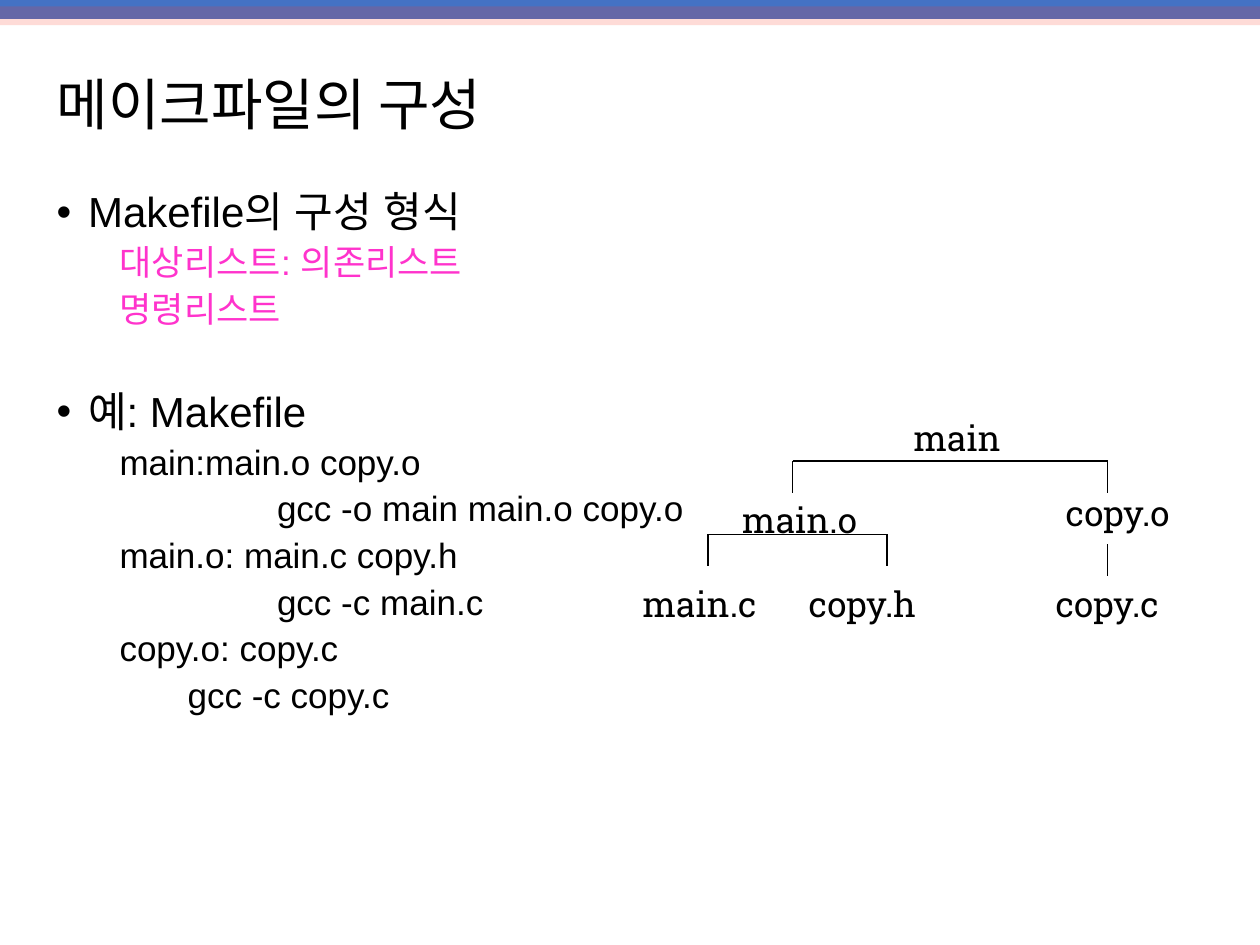
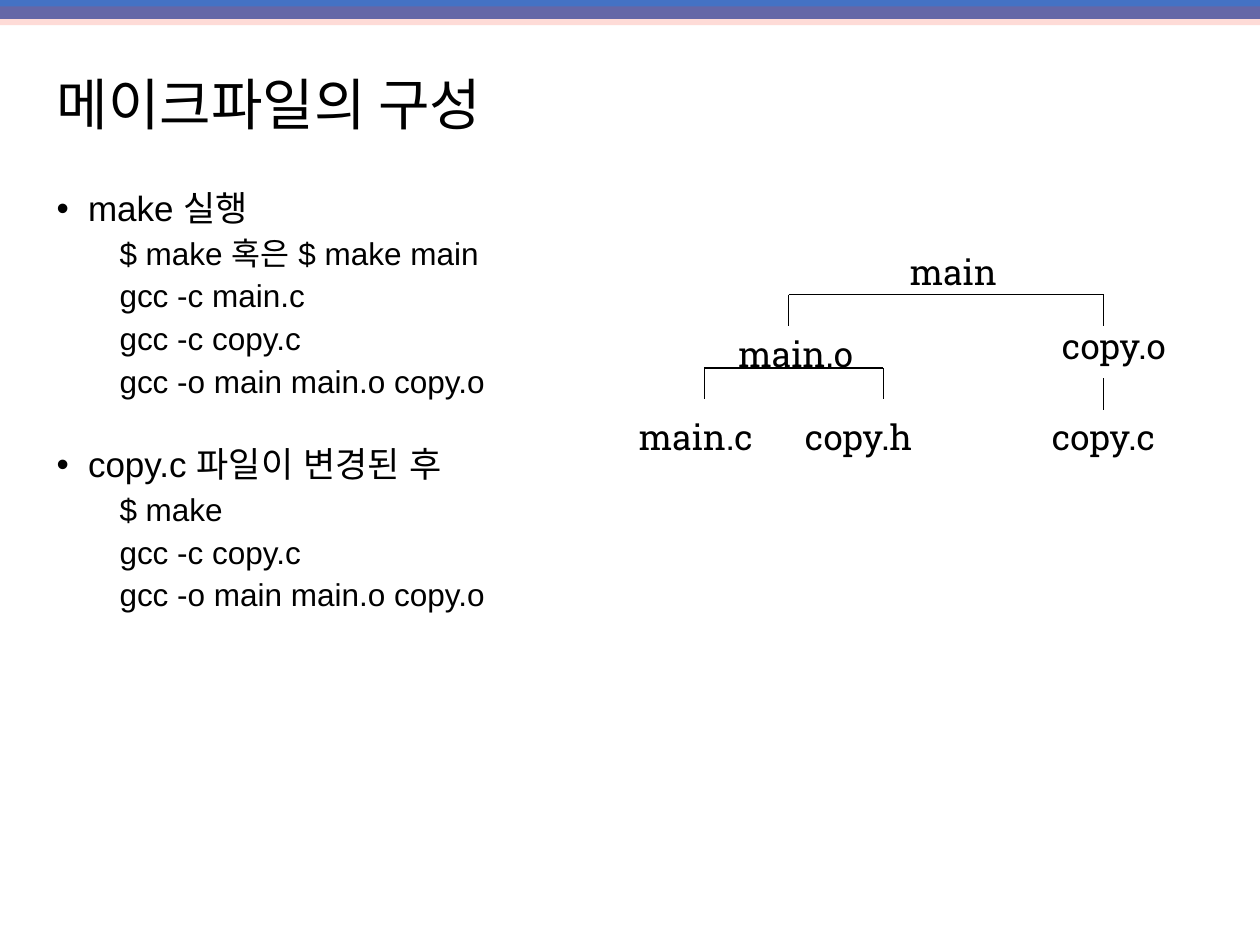
from lxml import etree
from pptx import Presentation
from pptx.dml.color import RGBColor
from pptx.enum.shapes import MSO_CONNECTOR, MSO_SHAPE
from pptx.enum.text import MSO_ANCHOR
from pptx.oxml.ns import qn
from pptx.util import Inches, Pt

RECTANGLE = MSO_SHAPE.RECTANGLE
STRAIGHT = MSO_CONNECTOR.STRAIGHT
TOP, MIDDLE = MSO_ANCHOR.TOP, MSO_ANCHOR.MIDDLE

# The slide is a grid of 100 columns by 75 rows.
COLUMNS, ROWS = 100, 75
CELL = Inches(0.1)
MARGIN, CONTENT_WIDTH = 3.5, 92.1

COLORS = {"text": "000000", "syntax": "FF33CC", "band": "4472C4", "veil": "FB3925"}
TITLE_FONT, BODY_FONT, TREE_FONT = "Noto Sans CJK KR", "Arial", "Roboto Slab"
TITLE = "메이크파일의 구성"

# Left edge of each kind of line, in columns; topics have a hanging bullet.
INDENTS = {"topic": 2.5, "line": 5, "command": 17.5, "last command": 10.4}

# Column and row of each file, from the corner of the tree.
TREE_FILES = {
    "main": (22.8, 0),
    "main.o": (9.2, 6.5),
    "copy.o": (34.9, 5.9),
    "main.c": (1.3, 13.1),
    "copy.h": (14.5, 13.1),
    "copy.c": (34.1, 13.1),
}
# Row of each branch and the columns of its drops.
TREE_BRANCHES = [(4, (14.2, 39.2)), (9.8, (7.5, 21.7)), (10.6, (39.2,))]
DROP = 2.5

FORMAT_TOPICS = [
    ("Makefile의 구성 형식", [
        ("line", "대상리스트: 의존리스트", "syntax"),
        ("line", "명령리스트", "syntax"),
    ]),
    ("예: Makefile", [
        ("line", "main:main.o copy.o", "text"),
        ("command", "gcc -o main main.o copy.o", "text"),
        ("line", "main.o: main.c copy.h", "text"),
        ("command", "gcc -c main.c", "text"),
        ("line", "copy.o: copy.c", "text"),
        ("last command", "gcc -c copy.c", "text"),
    ]),
]
RUN_TOPICS = [
    (topic, [("line", text, "text") for text in lines])
    for topic, lines in [
        ("make 실행", ["$ make 혹은 $ make main", "gcc -c main.c",
                     "gcc -c copy.c", "gcc -o main main.o copy.o"]),
        ("copy.c 파일이 변경된 후", ["$ make", "gcc -c copy.c",
                              "gcc -o main main.o copy.o"]),
    ]
]


def cells(*counts):
    return [round(count * CELL) for count in counts]


def add_band(slide, row, color, opacity=100):
    band = slide.shapes.add_shape(RECTANGLE, *cells(0, row, COLUMNS, 1.5))
    band.shadow.inherit = False
    band.line.fill.background()
    band.fill.solid()
    band.fill.fore_color.rgb = RGBColor.from_string(COLORS[color])
    if opacity < 100:
        tint = band.fill._xPr.find(".//" + qn("a:srgbClr"))
        etree.SubElement(tint, qn("a:alpha"), val=str(opacity * 1000))


def add_frame(slide, left, top, width, height, anchor=TOP):
    frame = slide.shapes.add_textbox(*cells(left, top, width, height)).text_frame
    frame.word_wrap = True
    frame.vertical_anchor = anchor
    return frame


def write(paragraph, text, size, font, color="text", **spacing):
    """Fill a paragraph; the font also serves its Korean letters."""
    run = paragraph.add_run()
    run.text = text
    for name, value in {"size": Pt(size), "name": font}.items():
        setattr(run.font, name, value)
    run.font.color.rgb = RGBColor.from_string(COLORS[color])
    etree.SubElement(run._r.get_or_add_rPr(), qn("a:ea"), typeface=font)
    for name, value in spacing.items():
        setattr(paragraph, name, value)


def indent(paragraph, kind):
    properties = paragraph._p.get_or_add_pPr()
    left, = cells(INDENTS[kind])
    is_topic = kind == "topic"
    properties.set("marL", str(left))
    properties.set("indent", str(-left if is_topic else 0))
    if is_topic:
        etree.SubElement(properties, qn("a:buFont"), typeface=BODY_FONT)
        etree.SubElement(properties, qn("a:buChar"), char="•")


def add_topics(slide, topics, topic_size, line_size, topic_gap):
    frame = add_frame(slide, MARGIN, 14.7, CONTENT_WIDTH, 52.9)
    paragraph = frame.paragraphs[0]
    for number, (topic, lines) in enumerate(topics):
        if number:
            paragraph = frame.add_paragraph()
        write(paragraph, topic, topic_size, BODY_FONT, line_spacing=0.9,
              space_before=Pt(topic_gap if number else 10))
        indent(paragraph, "topic")
        for kind, text, color in lines:
            paragraph = frame.add_paragraph()
            write(paragraph, text, line_size, BODY_FONT, color,
                  line_spacing=0.9, space_before=Pt(5))
            indent(paragraph, kind)


def add_line(slide, *ends):
    line = slide.shapes.add_connector(STRAIGHT, *cells(*ends))
    line.line.width = Pt(0.75)
    line.line.color.rgb = RGBColor.from_string(COLORS["text"])
    etree.SubElement(line._element.spPr, qn("a:effectLst"))


def add_dependency_tree(slide, left, top):
    for row, drops in TREE_BRANCHES:
        y = top + row
        if len(drops) > 1:
            add_line(slide, left + drops[0], y, left + drops[-1], y)
        for column in drops:
            add_line(slide, left + column, y, left + column, y + DROP)
    for file, (column, row) in TREE_FILES.items():
        label = add_frame(slide, left + column, top + row, 14.2, 4.3)
        write(label.paragraphs[0], file, 20, TREE_FONT)


def add_page(deck):
    """Add a slide with the bands and the title that all slides share."""
    slide = deck.slides.add_slide(deck.slide_layouts[6])
    add_band(slide, 0, "band")
    add_band(slide, 0.5, "veil", opacity=18)
    heading = add_frame(slide, MARGIN, 4, CONTENT_WIDTH, 9.1, MIDDLE)
    write(heading.paragraphs[0], TITLE, 32, TITLE_FONT, line_spacing=0.9)
    return slide


def main():
    deck = Presentation()
    deck.slide_width, deck.slide_height = cells(COLUMNS, ROWS)

    format_page = add_page(deck)
    add_topics(format_page, FORMAT_TOPICS, 24, 20, topic_gap=35)
    add_dependency_tree(format_page, 48.7, 32.6)

    run_page = add_page(deck)
    add_topics(run_page, RUN_TOPICS, 20, 18, topic_gap=27)
    add_dependency_tree(run_page, 48.4, 19.4)

    deck.save("out.pptx")


if __name__ == "__main__":
    main()
